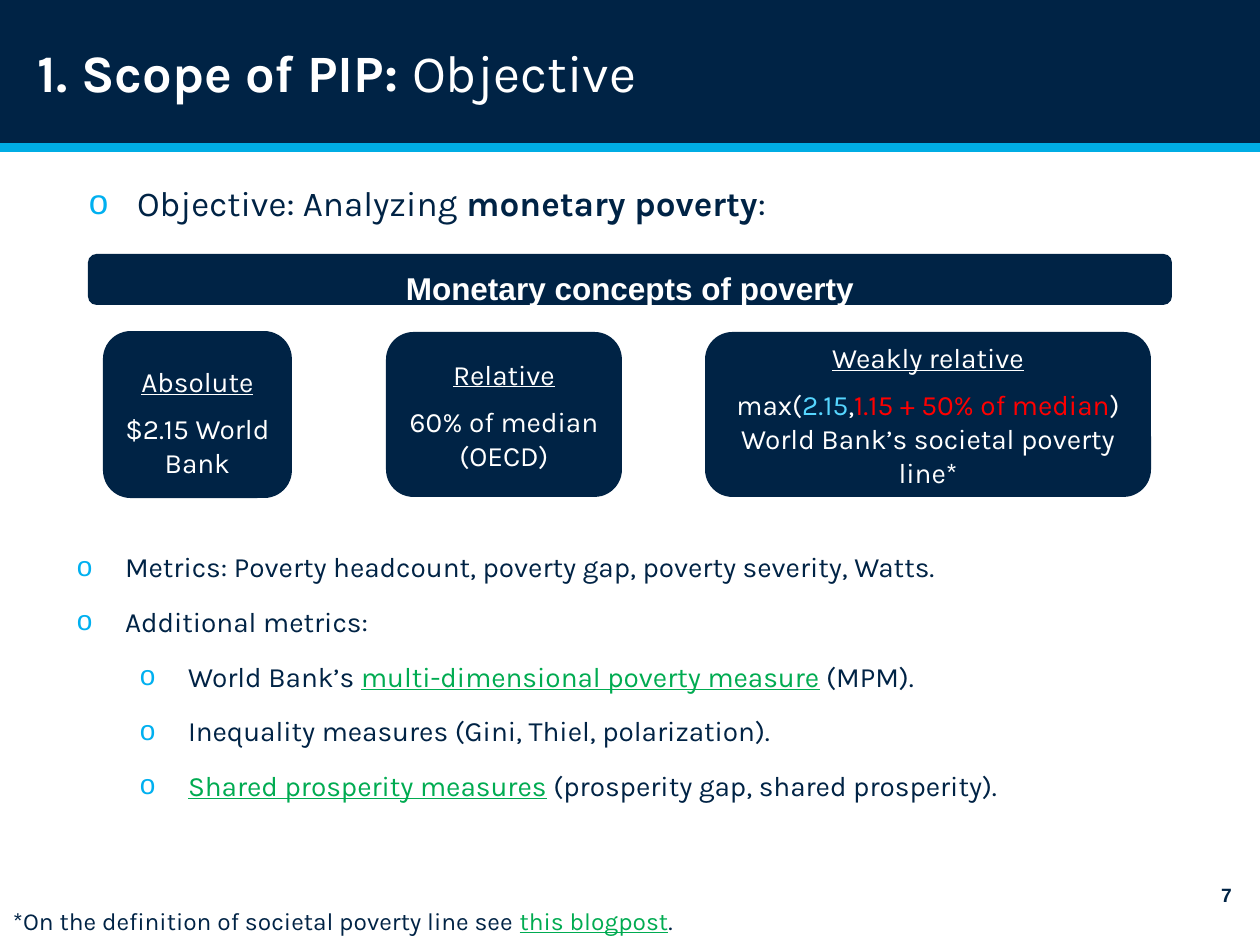
from dataclasses import dataclass

from lxml.etree import SubElement
from pptx import Presentation
from pptx.dml.color import RGBColor
from pptx.enum.shapes import MSO_SHAPE
from pptx.enum.text import MSO_ANCHOR, MSO_AUTO_SIZE, PP_ALIGN
from pptx.oxml.ns import qn
from pptx.util import Emu, Pt


@dataclass(frozen=True)
class Theme:
    navy: str = "002345"
    cyan: str = "00ADE4"
    mark: str = "00B0F0"
    sky: str = "56D6FF"
    red: str = "FF0000"
    green: str = "00AB51"
    white: str = "FFFFFF"
    text: str = "Karla"
    plain: str = "Arial"
    title: int = 30
    lead: int = 20
    bar: int = 18
    body: int = 16
    note: int = 14
    page: int = 11


THEME = Theme()
LINK = {"color": THEME.green, "underline": True}
BOLD = {"bold": True}
UNDER = {"underline": True}


def px(n):
    return Emu(round(n * 914400 / 126))


def color(code):
    return RGBColor.from_string(code)


class Deck:
    """Holds the style and the current slide."""

    def __init__(self, theme):
        self.theme = theme
        self.file = Presentation()
        self.file.slide_width, self.file.slide_height = px(1260), px(945)
        self.slide = self.file.slides.add_slide(self.file.slide_layouts[3])

    def place(self, shape, box):
        for name, n in zip(("left", "top", "width", "height"), box):
            setattr(shape, name, px(n))

    def paint(self, shape, code):
        shape.fill.solid()
        shape.fill.fore_color.rgb = color(code)

    def frame(self, shape, anchor=MSO_ANCHOR.TOP, **pads):
        frame = shape.text_frame
        look = {"word_wrap": True, "auto_size": MSO_AUTO_SIZE.NONE, "vertical_anchor": anchor,
                "margin_left": px(13), "margin_right": px(13),
                "margin_top": px(6), "margin_bottom": px(6)}
        look.update({f"margin_{side}": px(n) for side, n in pads.items()})
        for name, value in look.items():
            setattr(frame, name, value)
        return frame

    def add_runs(self, par, runs, size, ink, face=None, align=PP_ALIGN.LEFT):
        par.alignment = align
        for text, extra in runs:
            run = par.add_run()
            run.text = text
            look = {"name": face or self.theme.text, "size": Pt(size), "bold": False,
                    "underline": False, "color": ink, **extra}
            run.font.color.rgb = color(look.pop("color"))
            for name, value in look.items():
                setattr(run.font, name, value)

    def title(self, box, runs):
        shape = self.slide.shapes.title
        self.place(shape, box)
        self.paint(shape, self.theme.navy)
        frame = self.frame(shape, MSO_ANCHOR.MIDDLE, left=38)
        self.add_runs(frame.paragraphs[0], runs, self.theme.title, self.theme.white)

    def bullets(self, slot, box, size, items):
        shape = self.slide.placeholders[slot]
        self.place(shape, box)
        frame = self.frame(shape)
        for i, (level, runs) in enumerate(items):
            par = frame.add_paragraph() if i else frame.paragraphs[0]
            par.level = level
            par.space_before, par.space_after = Pt(6 if i else 0), Pt(6)
            props = par._p.get_or_add_pPr()
            props.set("marL", str(px(87 + 63 * level)))
            props.set("indent", str(px(-48)))
            tint = SubElement(props, qn("a:buClr"))
            SubElement(tint, qn("a:srgbClr"), val=self.theme.mark)
            SubElement(props, qn("a:buFont"), typeface=self.theme.plain)
            SubElement(props, qn("a:buChar"), char="o")
            self.add_runs(par, runs, size, self.theme.navy)

    def block(self, kind, box, fill):
        shape = self.slide.shapes.add_shape(kind, *map(px, box))
        shape.shadow.inherit = False
        self.paint(shape, fill)
        shape.line.fill.background()
        return shape

    def card(self, box, lines, size, face=None, **pads):
        shape = self.block(MSO_SHAPE.ROUNDED_RECTANGLE, box, self.theme.navy)
        frame = self.frame(shape, MSO_ANCHOR.MIDDLE, **pads)
        for i, runs in enumerate(lines):
            par = frame.add_paragraph() if i else frame.paragraphs[0]
            par.space_before = Pt(size / 2 if i else 0)
            self.add_runs(par, runs, size, self.theme.white, face, PP_ALIGN.CENTER)

    def label(self, box, runs, size, face=None):
        shape = self.slide.shapes.add_textbox(*map(px, box))
        self.add_runs(self.frame(shape).paragraphs[0], runs, size, self.theme.navy, face)


def main():
    deck = Deck(THEME)
    deck.title((0, 0, 1260, 144), [("1. Scope of PIP: ", BOLD), ("Objective", {})])
    deck.block(MSO_SHAPE.RECTANGLE, (0, 143, 1260, 9), THEME.cyan)

    deck.bullets(1, (37, 175, 1223, 55), THEME.lead, [
        (0, [("Objective: Analyzing ", {}), ("monetary poverty", BOLD), (":", {})]),
    ])

    deck.card((88, 254, 1084, 51), [[("Monetary concepts of poverty", BOLD)]],
              THEME.bar, THEME.plain, top=16, bottom=0)
    cards = [
        ((103, 331, 189, 167), 20, "Absolute", [("$2.15 World Bank", {})]),
        ((386, 332, 236, 165), 6, "Relative", [("60% of median (OECD)", {})]),
        ((705, 332, 446, 165), 6, "Weakly relative", [
            ("max(", {}), ("2.15", {"color": THEME.sky}), (",", {}),
            ("1.15 + 50% of median", {"color": THEME.red}),
            (") World Bank’s societal poverty line*", {})]),
    ]
    for box, top, head, runs in cards:
        deck.card(box, [[(head, UNDER)], runs], THEME.body, top=top)

    deck.bullets(2, (25, 544, 1223, 267), THEME.body, [
        (0, [("Metrics: Poverty headcount, poverty gap, poverty severity, Watts.", {})]),
        (0, [("Additional metrics:", {})]),
        (1, [("World Bank’s ", {}), ("multi-dimensional poverty measure", LINK),
             (" (MPM).", {})]),
        (1, [("Inequality measures (Gini, Thiel, polarization).", {})]),
        (1, [("Shared prosperity measures", LINK),
             (" (prosperity gap, shared prosperity).", {})]),
    ])

    deck.label((0, 900, 760, 43), [
        ("*On the definition of societal poverty line see ", {}),
        ("this blogpost", LINK), (".", {})], THEME.note)
    deck.label((1208, 877, 44, 50), [("7", BOLD)], THEME.page, THEME.plain)
    deck.file.save("out.pptx")


if __name__ == "__main__":
    main()
